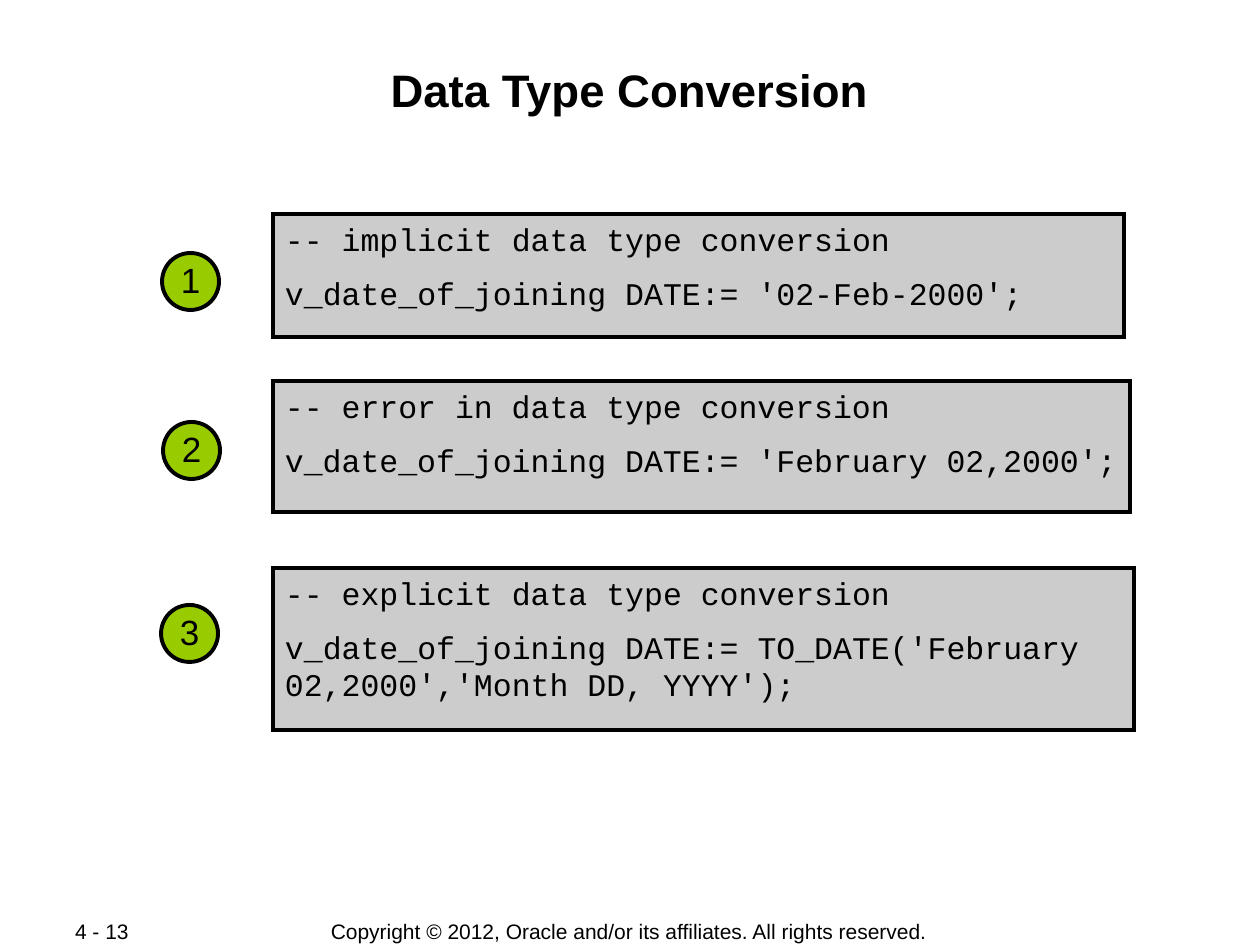
from dataclasses import dataclass

from lxml.etree import SubElement
from pptx import Presentation
from pptx.dml.color import RGBColor
from pptx.enum.shapes import MSO_SHAPE
from pptx.enum.text import MSO_ANCHOR, PP_ALIGN
from pptx.oxml.ns import qn
from pptx.shapes.autoshape import Shape
from pptx.slide import Slide
from pptx.util import Emu, Pt

EMU_PER_PX = 914400 / 126
CODE_LEFT = 273
BADGE_SIZE = 57


@dataclass(frozen=True)
class Theme:
    ink: RGBColor = RGBColor(0x00, 0x00, 0x00)
    code_fill: RGBColor = RGBColor(0xCC, 0xCC, 0xCC)
    badge_fill: RGBColor = RGBColor(0x99, 0xCC, 0x00)
    sans: str = "Arial"
    mono: str = "Courier New"
    title_size: int = 26
    code_size: int = 18
    badge_size: int = 20
    footer_size: int = 12
    outline: float = 2.25


@dataclass(frozen=True)
class Box:
    left: int
    top: int
    width: int
    height: int

    def emu(self) -> tuple[Emu, ...]:
        return tuple(px(v) for v in (self.left, self.top, self.width, self.height))


@dataclass(frozen=True)
class Example:
    code_top: int
    code_width: int
    code_height: int
    badge_left: int
    badge_top: int
    lines: tuple[str, ...]


THEME = Theme()
EXAMPLES = (
    Example(214, 851, 123, 162, 253, (
        "-- implicit data type conversion",
        "v_date_of_joining DATE:= '02-Feb-2000';",
    )),
    Example(381, 857, 131, 163, 422, (
        "-- error in data type conversion",
        "v_date_of_joining DATE:= 'February 02,2000';",
    )),
    Example(568, 861, 162, 161, 605, (
        "-- explicit data type conversion",
        "v_date_of_joining DATE:= TO_DATE('February 02,2000','Month DD, YYYY');",
    )),
)


def px(value: int) -> Emu:
    return Emu(round(value * EMU_PER_PX))


def write(shape: Shape, lines: tuple[str, ...], font: str, size: int, *,
          align: PP_ALIGN = PP_ALIGN.LEFT, anchor: MSO_ANCHOR = MSO_ANCHOR.TOP,
          wrap: bool = True, bold: bool = False, gap: int = 0,
          line_spacing: float = 1.0, insets: tuple[int, int] = (12, 6)) -> None:
    """Fill a shape with paragraphs; gap is in points, insets are (side, top and bottom) in px."""
    frame = shape.text_frame
    frame.word_wrap = wrap
    frame.vertical_anchor = anchor
    frame.margin_left = frame.margin_right = px(insets[0])
    frame.margin_top = frame.margin_bottom = px(insets[1])
    for index, line in enumerate(lines):
        paragraph = frame.add_paragraph() if index else frame.paragraphs[0]
        paragraph.text = line
        paragraph.alignment = align
        paragraph.line_spacing = line_spacing
        if index:
            paragraph.space_before = Pt(gap)
        paragraph.font.name = font
        paragraph.font.size = Pt(size)
        paragraph.font.bold = bold
        paragraph.font.color.rgb = THEME.ink


def add_outlined(slide: Slide, kind: MSO_SHAPE, box: Box, fill: RGBColor) -> Shape:
    """Add a filled shape with a sharp-cornered outline."""
    shape = slide.shapes.add_shape(kind, *box.emu())
    shape.shadow.inherit = False
    shape.fill.solid()
    shape.fill.fore_color.rgb = fill
    shape.line.color.rgb = THEME.ink
    shape.line.width = Pt(THEME.outline)
    outline = shape.element.spPr.find(qn("a:ln"))
    SubElement(outline, qn("a:miter"), lim="800000")
    return shape


def add_example(slide: Slide, number: int, example: Example) -> None:
    code_box = Box(CODE_LEFT, example.code_top, example.code_width, example.code_height)
    code = add_outlined(slide, MSO_SHAPE.RECTANGLE, code_box, THEME.code_fill)
    write(code, example.lines, THEME.mono, THEME.code_size, gap=9)

    badge_box = Box(example.badge_left, example.badge_top, BADGE_SIZE, BADGE_SIZE)
    badge = add_outlined(slide, MSO_SHAPE.OVAL, badge_box, THEME.badge_fill)
    write(badge, (str(number),), THEME.sans, THEME.badge_size, align=PP_ALIGN.CENTER,
          anchor=MSO_ANCHOR.MIDDLE, wrap=False, line_spacing=0.95, insets=(6, 6))


def add_footer(slide: Slide, box: Box, text: str, align: PP_ALIGN) -> None:
    footer = slide.shapes.add_textbox(*box.emu())
    write(footer, (text,), THEME.sans, THEME.footer_size, align=align,
          anchor=MSO_ANCHOR.MIDDLE, wrap=False)


def main() -> None:
    presentation = Presentation()
    presentation.slide_width, presentation.slide_height = px(1260), px(945)
    slide = presentation.slides.add_slide(presentation.slide_layouts[6])

    add_footer(slide, Box(309, 918, 640, 26),
               "Copyright © 2012, Oracle and/or its affiliates. All rights reserved.",
               PP_ALIGN.CENTER)
    add_footer(slide, Box(63, 918, 134, 26), "4 - 13", PP_ALIGN.JUSTIFY)

    title = slide.shapes.add_textbox(*Box(84, 61, 1091, 121).emu())
    write(title, ("Data Type Conversion",), THEME.sans, THEME.title_size,
          align=PP_ALIGN.CENTER, bold=True, insets=(1, 1))

    for number, example in enumerate(EXAMPLES, start=1):
        add_example(slide, number, example)
    presentation.save("out.pptx")


if __name__ == "__main__":
    main()
